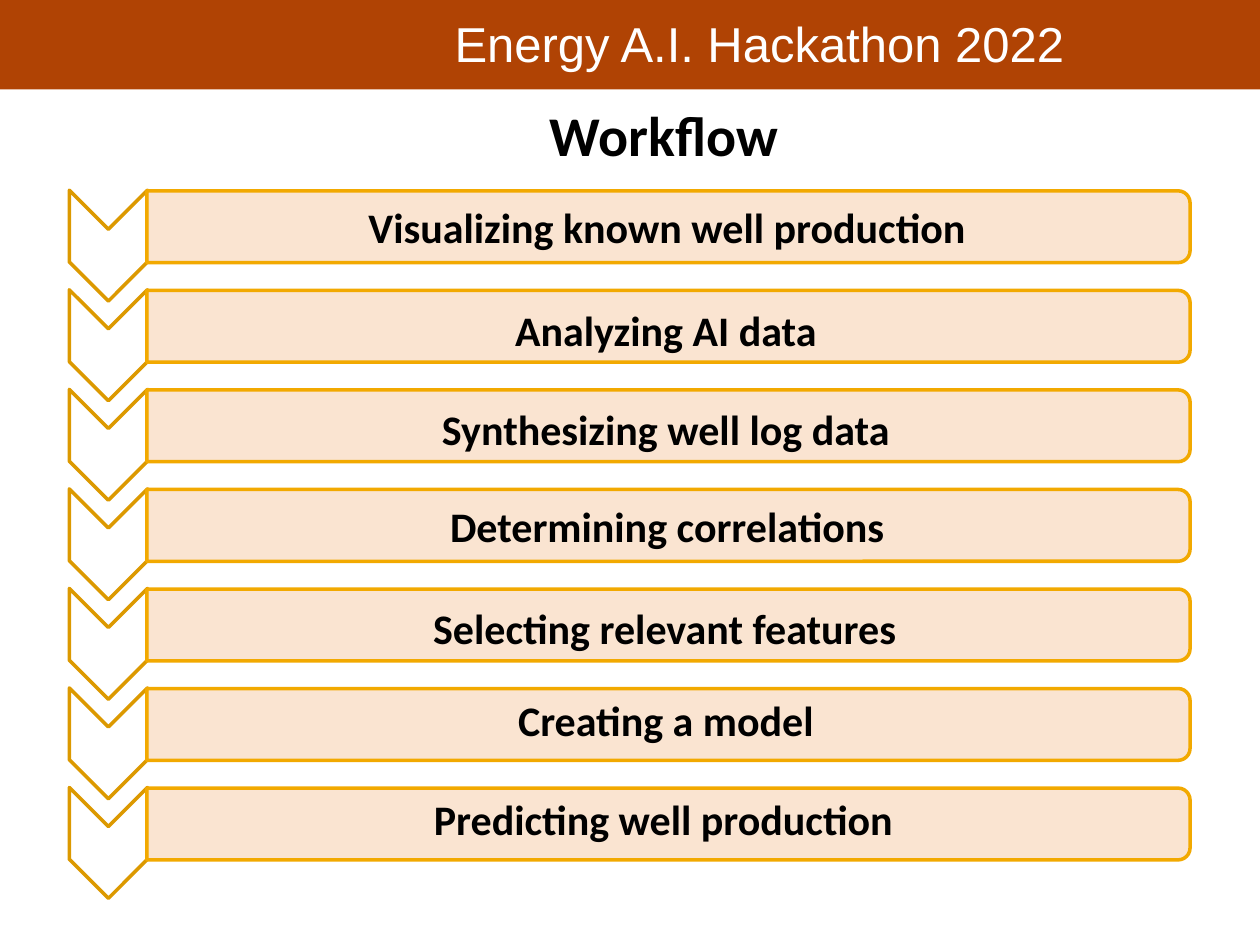
from lxml import etree
from pptx import Presentation
from pptx.dml.color import RGBColor
from pptx.enum import shapes, text
from pptx.oxml import ns
from pptx.util import Inches, Pt

COLORS = {
    "banner": "B04304",
    "white": "FFFFFF",
    "black": "000000",
    "chevron_line": "DC9900",
    "bar": "FAE2CC",
    "bar_line": "F2A900",
}

# Step wording, then left, top and height of its label in inches
STEPS = [
    ("Visualizing known well production", 1.17, 1.55, 0.5),
    ("Analyzing AI data", 1.16, 2.37, 0.5),
    ("Synthesizing well log data", 1.16, 3.15, 0.5),
    ("Determining correlations", 1.17, 3.92, 0.5),
    ("Selecting relevant features", 1.15, 4.73, 0.91),
    ("Creating a model", 1.16, 5.46, 0.5),
    ("Predicting well production", 1.14, 6.25, 0.5),
]
STEP_PITCH = 0.79


def color(name):
    return RGBColor.from_string(COLORS[name])


def add_preset(parent, kind, left, top, width, height, fill, line=None, rotation=0):
    shape = parent.shapes.add_shape(
        kind, Inches(left), Inches(top), Inches(width), Inches(height)
    )
    shape.shadow.inherit = False
    shape.rotation = rotation
    shape.fill.solid()
    shape.fill.fore_color.rgb = color(fill)
    if line:
        shape.line.color.rgb = color(line)
        shape.line.width = Pt(2)
    else:
        shape.line.fill.background()
    return shape


def set_opacity(shape, percent):
    fill_color = shape.fill._xPr.find(ns.qn("a:solidFill"))[0]
    etree.SubElement(fill_color, ns.qn("a:alpha"), val=str(percent * 1000))


def add_label(page, wording, left, top, width, height, size,
              font="Calibri", ink="black", bold=True, wrap=True,
              align=text.PP_ALIGN.CENTER):
    box = page.shapes.add_textbox(
        Inches(left), Inches(top), Inches(width), Inches(height)
    )
    frame = box.text_frame
    frame.word_wrap = wrap
    frame.auto_size = text.MSO_AUTO_SIZE.SHAPE_TO_FIT_TEXT
    para = frame.paragraphs[0]
    para.alignment = align
    span = para.add_run()
    span.text = wording
    span.font.name = font
    span.font.size = Pt(size)
    span.font.bold = bold
    span.font.color.rgb = color(ink)


def add_step_shapes(group, index):
    """Add the downward chevron and the bar to its right."""
    offset = index * STEP_PITCH
    add_preset(group, shapes.MSO_SHAPE.CHEVRON, 0.42, 1.64 + offset, 0.88, 0.62,
               "white", "chevron_line", 90)
    bar = add_preset(group, shapes.MSO_SHAPE.ROUND_2_SAME_RECTANGLE,
                     5.02, -2.34 + offset, 0.57, 8.28, "bar", "bar_line", 90)
    set_opacity(bar, 90)


def main():
    deck = Presentation()
    deck.slide_width, deck.slide_height = Inches(10), Inches(7.5)
    page = deck.slides.add_slide(deck.slide_layouts[6])

    # Banner and title
    add_preset(page, shapes.MSO_SHAPE.RECTANGLE, 0, -0.01, 10, 0.72, "banner")
    add_label(page, "Energy A.I. Hackathon 2022", 3.51, 0.06, 5.1, 0.57, 28,
              font="Arial", ink="white", bold=False, wrap=False,
              align=text.PP_ALIGN.LEFT)
    add_label(page, "Workflow", 0.87, 0.75, 8.8, 1.62, 32)

    # Chevron list
    group = page.shapes.add_group_shape()
    for index in range(len(STEPS)):
        add_step_shapes(group, index)

    # Step labels
    for wording, left, top, height in STEPS:
        add_label(page, wording, left, top, 8.25, height, 24)

    deck.save("out.pptx")


if __name__ == "__main__":
    main()
